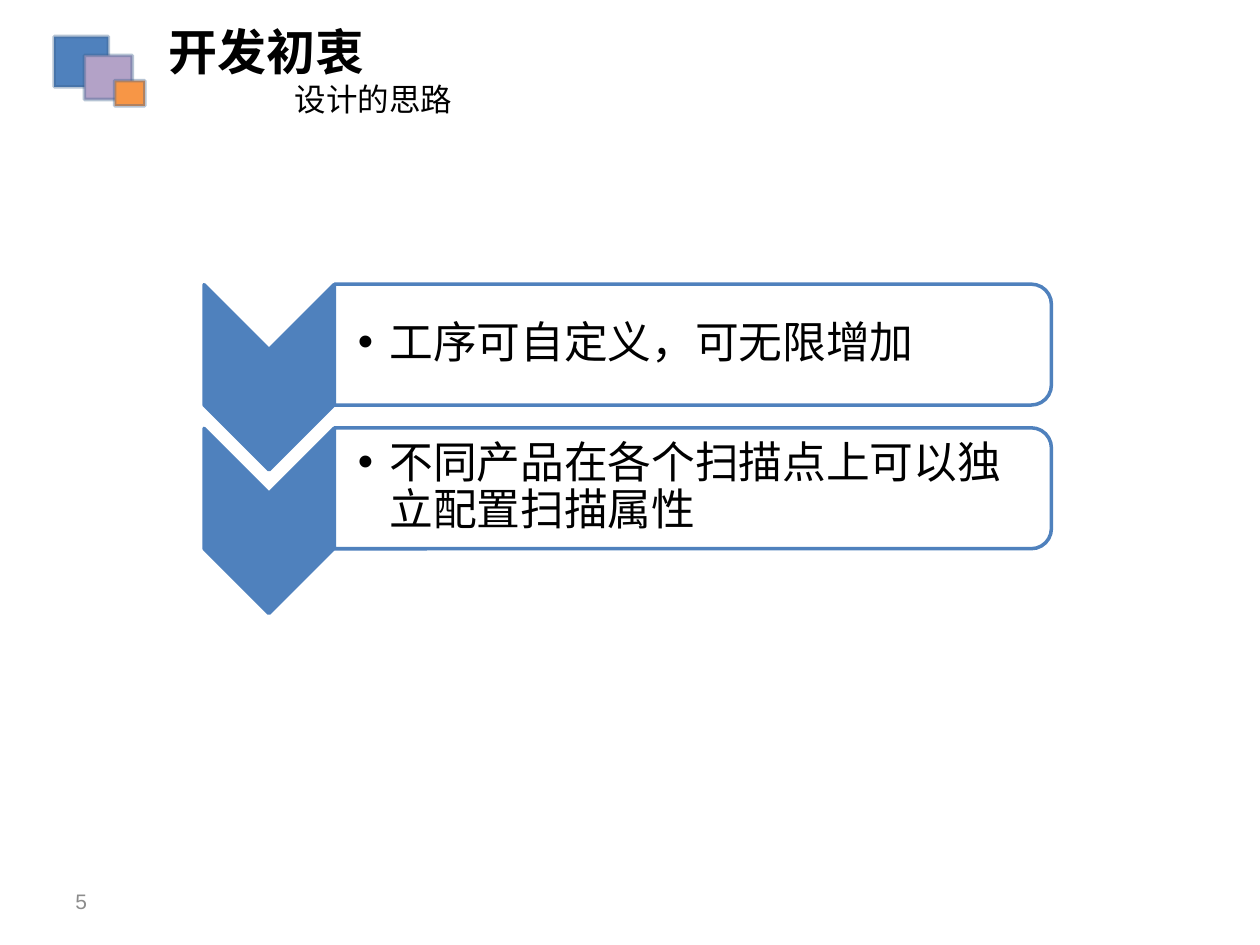
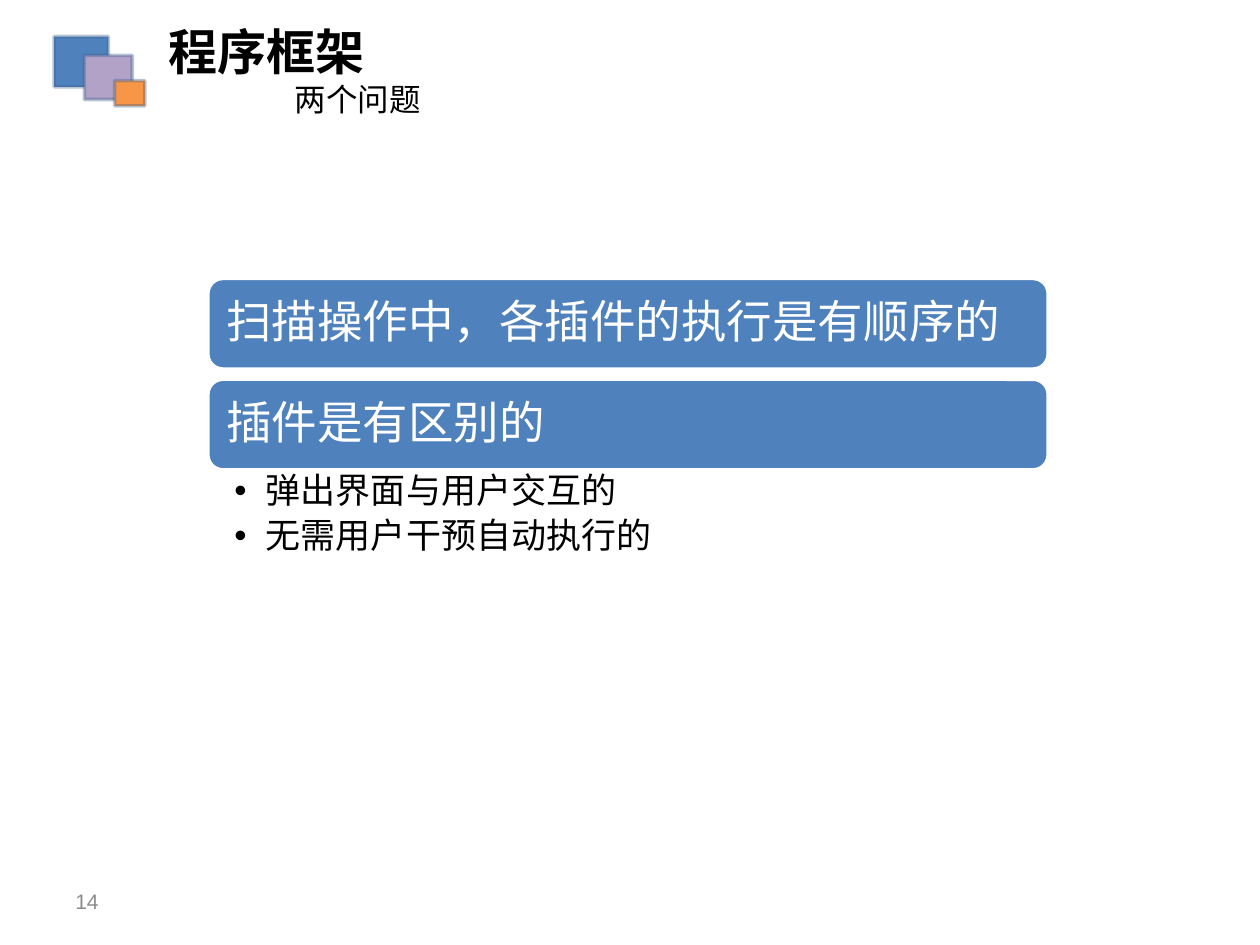
"""Build two slides on a scanning program: its design ideas and its plug-in questions."""
import dataclasses
import typing

import lxml.etree
import pptx
import pptx.dml.color
import pptx.enum.shapes
import pptx.enum.text
import pptx.oxml.ns
import pptx.presentation
import pptx.shapes.autoshape
import pptx.slide
import pptx.text.text
import pptx.util

Pt = pptx.util.Pt
RGBColor = pptx.dml.color.RGBColor
Preset = pptx.enum.shapes.MSO_SHAPE
Anchor = pptx.enum.text.MSO_ANCHOR

BLUE = RGBColor(0x4F, 0x81, 0xBD)
LILAC = RGBColor(0xB3, 0xA2, 0xC7)
ORANGE = RGBColor(0xF7, 0x96, 0x46)
OUTLINE = RGBColor(0x3A, 0x5F, 0x8C)
GRAY = RGBColor(0x8C, 0x8C, 0x8C)
BLACK = RGBColor(0, 0, 0)
WHITE = RGBColor(255, 255, 255)

TITLE_FONT = "Noto Sans CJK SC"
BODY_FONT = "Calibri"
NUMBER_FONT = "Arial"
LINE_WIDTH = 2
LINE_SPACING = 0.9
BULLET_INDENT = 18
SUBTITLE_INDENT = 72
CONTENT_LAYOUT = 1
TWO_CONTENT_LAYOUT = 3


@dataclasses.dataclass(frozen=True)
class Box:
    """A rectangle in points."""

    left: float
    top: float
    width: float
    height: float

    def lowered(self, distance: float) -> "Box":
        """Return this box moved down."""
        return dataclasses.replace(self, top=self.top + distance)

    def lengths(self) -> tuple[pptx.util.Length, ...]:
        """Return left, top, width and height as lengths."""
        return tuple(Pt(value) for value in dataclasses.astuple(self))


@dataclasses.dataclass(frozen=True)
class ShapeStyle:
    """The preset, colours, opacities and turn of a shape."""

    preset: Preset
    fill: RGBColor
    line: RGBColor
    fill_opacity: int = 100
    line_opacity: int = 100
    rotation: float = 0


@dataclasses.dataclass(frozen=True)
class TextStyle:
    """The font of a paragraph."""

    size: float
    color: RGBColor = BLACK
    font: str = BODY_FONT
    bold: bool = False


class Square(typing.NamedTuple):
    """One square of the header ornament."""

    box: Box
    color: RGBColor


ORNAMENT = (
    Square(Box(31, 20.9, 31, 28.8), BLUE),
    Square(Box(48.2, 31.7, 27.4, 25.2), LILAC),
    Square(Box(65.5, 46.1, 17.3, 14.4), ORANGE),
)
TITLE_BOX = Box(89.3, 8.6, 538.6, 63.4)
NUMBER_BOX = Box(36, 500.4, 167.8, 28.8)

CHEVRON_BOX = Box(100.8, 178.5, 105.8, 74.2)
PANEL_BOX = Box(361.4, -7.9, 69.1, 409.7)
IDEA_BOX = Box(190.8, 165.6, 406, 62)
IDEA_PITCH = 82.1
BAR_BOX = Box(118.8, 159.1, 480.2, 51.8)
BAR_PITCH = 57.6
KINDS_BOX = Box(118.8, 267.8, 480.2, 56.9)

CHEVRON_STYLE = ShapeStyle(Preset.CHEVRON, BLUE, BLUE, rotation=90)
PANEL_STYLE = ShapeStyle(Preset.ROUND_2_SAME_RECTANGLE, WHITE, BLUE, fill_opacity=90, rotation=90)
BAR_STYLE = ShapeStyle(Preset.ROUNDED_RECTANGLE, BLUE, WHITE)

TITLE_TEXT = TextStyle(28, font=TITLE_FONT, bold=True)
SUBTITLE_TEXT = TextStyle(18)
NUMBER_TEXT = TextStyle(12, GRAY, NUMBER_FONT)
IDEA_TEXT = TextStyle(25)
BAR_TEXT = TextStyle(26, WHITE)
KIND_TEXT = TextStyle(20)

IDEAS = ("工序可自定义，可无限增加", "不同产品在各个扫描点上可以独立配置扫描属性")
QUESTIONS = ("扫描操作中，各插件的执行是有顺序的", "插件是有区别的")
PLUGIN_KINDS = ("弹出界面与用户交互的", "无需用户干预自动执行的")


def set_opacity(color_format: pptx.dml.color.ColorFormat, parent: lxml.etree._Element, percent: int) -> None:
    """Make the RGB colour held under parent partly transparent."""
    if percent < 100:
        color = parent.find(".//" + pptx.oxml.ns.qn("a:srgbClr"))
        alpha = lxml.etree.SubElement(color, pptx.oxml.ns.qn("a:alpha"))
        alpha.set("val", str(percent * 1000))


def add_shape(slide: pptx.slide.Slide, box: Box, style: ShapeStyle) -> pptx.shapes.autoshape.Shape:
    """Draw a preset shape."""
    shape = slide.shapes.add_shape(style.preset, *box.lengths())
    shape.shadow.inherit = False
    shape.rotation = style.rotation
    shape.fill.solid()
    shape.fill.fore_color.rgb = style.fill
    shape.line.color.rgb = style.line
    shape.line.width = Pt(LINE_WIDTH)
    properties = shape.element.spPr
    set_opacity(shape.fill.fore_color, properties.find(pptx.oxml.ns.qn("a:solidFill")), style.fill_opacity)
    set_opacity(shape.line.color, properties.find(pptx.oxml.ns.qn("a:ln")), style.line_opacity)
    return shape


def style_paragraph(paragraph: pptx.text.text._Paragraph, style: TextStyle) -> None:
    """Align a paragraph left and format its runs."""
    paragraph.alignment = pptx.enum.text.PP_ALIGN.LEFT
    paragraph.space_before = Pt(0)
    for run in paragraph.runs:
        run.font.name = style.font
        run.font.size = Pt(style.size)
        run.font.bold = style.bold
        run.font.color.rgb = style.color
        east_asian = lxml.etree.Element(pptx.oxml.ns.qn("a:ea"))
        east_asian.set("typeface", BODY_FONT)
        run.font._element.find(pptx.oxml.ns.qn("a:latin")).addnext(east_asian)


def set_frame(
    shape: pptx.shapes.autoshape.Shape, anchor: Anchor, insets: tuple[float, float, float, float]
) -> pptx.text.text.TextFrame:
    """Set anchor and left, top, right and bottom insets, and return the text frame."""
    frame = shape.text_frame
    frame.word_wrap = True
    frame.auto_size = pptx.enum.text.MSO_AUTO_SIZE.NONE
    frame.vertical_anchor = anchor
    frame.margin_left, frame.margin_top, frame.margin_right, frame.margin_bottom = map(Pt, insets)
    return frame


def place(shape: pptx.shapes.autoshape.Shape, box: Box) -> None:
    """Move and resize a shape."""
    shape.left, shape.top, shape.width, shape.height = box.lengths()


def fill_list(
    shape: pptx.shapes.autoshape.Shape,
    box: Box,
    items: typing.Sequence[str],
    style: TextStyle,
    anchor: Anchor,
    insets: tuple[float, float, float, float],
    space_after: float,
) -> None:
    """Put a bulleted list in a body placeholder and bring it to the front."""
    place(shape, box)
    frame = set_frame(shape, anchor, insets)
    frame.text = "\n".join(items)
    for paragraph in frame.paragraphs:
        properties = paragraph._p.get_or_add_pPr()
        properties.set("marL", str(Pt(BULLET_INDENT)))
        properties.set("indent", str(-Pt(BULLET_INDENT)))
        bullet = lxml.etree.SubElement(properties, pptx.oxml.ns.qn("a:buChar"))
        bullet.set("char", "•")
        paragraph.line_spacing = LINE_SPACING
        paragraph.space_after = Pt(space_after)
        style_paragraph(paragraph, style)
    shape.element.getparent().append(shape.element)


def add_slide(
    presentation: pptx.presentation.Presentation, layout: int, title: str, subtitle: str, number: int
) -> pptx.slide.Slide:
    """Add a slide with the shared ornament, title and slide number."""
    slide = presentation.slides.add_slide(presentation.slide_layouts[layout])
    for square in ORNAMENT:
        add_shape(slide, square.box, ShapeStyle(Preset.RECTANGLE, square.color, OUTLINE, line_opacity=37))

    title_shape = slide.shapes.title
    place(title_shape, TITLE_BOX)
    frame = set_frame(title_shape, Anchor.TOP, (7.2, 3.6, 7.2, 3.6))
    frame.text = f"{title}\n{subtitle}"
    heading, subheading = frame.paragraphs
    style_paragraph(heading, TITLE_TEXT)
    style_paragraph(subheading, SUBTITLE_TEXT)
    subheading._p.get_or_add_pPr().set("marL", str(Pt(SUBTITLE_INDENT)))

    number_shape = slide.shapes.add_textbox(*NUMBER_BOX.lengths())
    number_frame = set_frame(number_shape, Anchor.MIDDLE, (7.2, 3.6, 7.2, 3.6))
    number_frame.text = str(number)
    style_paragraph(number_frame.paragraphs[0], NUMBER_TEXT)
    return slide


def build_ideas(presentation: pptx.presentation.Presentation) -> None:
    """Build the slide of design ideas."""
    slide = add_slide(presentation, TWO_CONTENT_LAYOUT, "开发初衷", "设计的思路", 5)
    for index, idea in enumerate(IDEAS):
        distance = index * IDEA_PITCH
        add_shape(slide, CHEVRON_BOX.lowered(distance), CHEVRON_STYLE)
        add_shape(slide, PANEL_BOX.lowered(distance), PANEL_STYLE)
        fill_list(
            slide.placeholders[index + 1], IDEA_BOX.lowered(distance), [idea],
            IDEA_TEXT, Anchor.MIDDLE, (13.7, 1.4, 1.4, 1.4), 3.75,
        )


def build_questions(presentation: pptx.presentation.Presentation) -> None:
    """Build the slide of plug-in questions."""
    slide = add_slide(presentation, CONTENT_LAYOUT, "程序框架", "两个问题", 14)
    for index, question in enumerate(QUESTIONS):
        bar = add_shape(slide, BAR_BOX.lowered(index * BAR_PITCH), BAR_STYLE)
        frame = set_frame(bar, Anchor.MIDDLE, (8, 8, 8, 8))
        frame.text = question
        frame.paragraphs[0].line_spacing = LINE_SPACING
        style_paragraph(frame.paragraphs[0], BAR_TEXT)
    fill_list(
        slide.placeholders[1], KINDS_BOX, PLUGIN_KINDS,
        KIND_TEXT, Anchor.TOP, (15.1, 2.9, 14.4, 2.9), 4,
    )


def main() -> None:
    """Build and save the presentation."""
    presentation = pptx.Presentation()
    presentation.slide_width = Pt(720)
    presentation.slide_height = Pt(540)
    build_ideas(presentation)
    build_questions(presentation)
    presentation.save("out.pptx")


if __name__ == "__main__":
    main()
